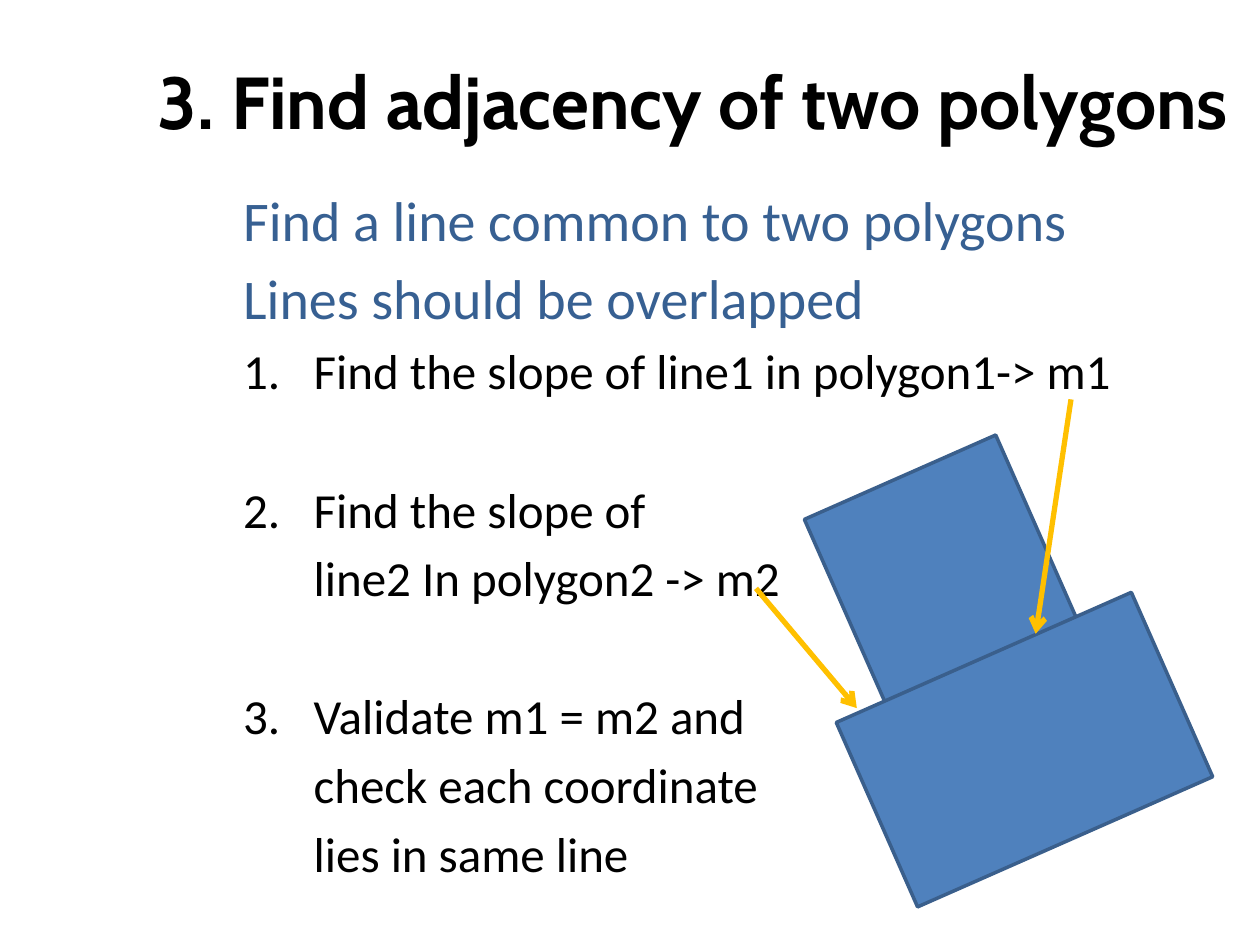
from lxml import etree
from pptx import Presentation
from pptx.dml.color import RGBColor
from pptx.enum.shapes import MSO_CONNECTOR, MSO_SHAPE
from pptx.enum.text import MSO_ANCHOR, MSO_AUTO_SIZE, PP_ALIGN
from pptx.oxml.ns import qn
from pptx.util import Inches, Pt

RECT = MSO_SHAPE.RECTANGLE
STRAIGHT = MSO_CONNECTOR.STRAIGHT
CENTER, LEFT = PP_ALIGN.CENTER, PP_ALIGN.LEFT
MIDDLE, TOP = MSO_ANCHOR.MIDDLE, MSO_ANCHOR.TOP
NO_FIT = MSO_AUTO_SIZE.NONE

COLORS = {"bg": "FFFFFF", "text": "000000", "goal": "376092",
          "polygon": "4F81BD", "edge": "3A5F8C", "arrow": "FFC000"}
GOALS = ["Find a line common to two polygons", "Lines should be overlapped"]
STEPS = [
    ["Find the slope of line1 in polygon1-> m1"],
    ["Find the slope of", "line2 In polygon2 -> m2"],
    ["Validate m1 = m2 and", "check each coordinate", "lies in same line"],
]
STEP_GAP = 45.4  # one blank 28 pt line plus the normal paragraph gap


def rgb(name):
    return RGBColor.from_string(COLORS[name])


def write(p, text, size=28, color="text", font="Calibri", bold=False,
          align=LEFT, before=0):
    p.alignment = align
    p.space_before = Pt(before)
    r = p.add_run()
    r.text = text
    r.font.name, r.font.size, r.font.bold = font, Pt(size), bold
    r.font.color.rgb = rgb(color)


def indent(p, margin, first=0, number=None):
    p.level = 1
    pPr = p._p.get_or_add_pPr()
    pPr.set("marL", str(Inches(margin)))
    pPr.set("indent", str(Inches(first)))
    if number:
        bullet = etree.SubElement(pPr, qn("a:buAutoNum"), type="arabicPeriod")
        bullet.set("startAt", str(number))
    else:
        etree.SubElement(pPr, qn("a:buNone"))


def place(sp, box, anchor):
    sp.left, sp.top, sp.width, sp.height = (Inches(v) for v in box)
    tf = sp.text_frame
    tf.word_wrap, tf.auto_size, tf.vertical_anchor = True, NO_FIT, anchor
    return tf


def add_title(s, box):
    tf = place(s.shapes.title, box, MIDDLE)
    write(tf.paragraphs[0], "3. Find adjacency of two polygons", size=42,
          font="Cabin", bold=True, align=CENTER)


def add_body(s, box):
    tf = place(s.placeholders[1], box, TOP)
    # Goals
    for i, goal in enumerate(GOALS):
        p = tf.add_paragraph() if i else tf.paragraphs[0]
        write(p, goal, size=32, color="goal", before=6.4)
        indent(p, 0.81, -0.31)
    # Numbered steps, with unnumbered continuation lines
    for number, lines in enumerate(STEPS, 1):
        for i, line in enumerate(lines):
            p = tf.add_paragraph()
            write(p, line, before=STEP_GAP if number > 1 and i == 0 else 5.6)
            if i == 0:
                indent(p, 1.06, -0.56, number)
            else:
                indent(p, 1.06)


def add_polygon(shapes, left, top, width, height):
    sp = shapes.add_shape(RECT, Inches(left), Inches(top), Inches(width), Inches(height))
    sp.rotation = 66.2
    sp.shadow.inherit = False
    sp.fill.solid()
    sp.fill.fore_color.rgb = rgb("polygon")
    sp.line.color.rgb = rgb("edge")
    sp.line.width = Pt(2)


def add_arrow(shapes, x1, y1, x2, y2):
    line = shapes.add_connector(STRAIGHT, Inches(x1), Inches(y1), Inches(x2), Inches(y2))
    line.line.color.rgb = rgb("arrow")
    line.line.width = Pt(3)
    etree.SubElement(line.line._get_or_add_ln(), qn("a:tailEnd"), type="arrow")
    etree.SubElement(line._element.spPr, qn("a:effectLst"))


def add_diagram(s, left, top):
    shapes = s.shapes.add_group_shape().shapes
    # Two polygons sharing an edge
    add_polygon(shapes, left + 0.6, top + 0.62, 1.82, 1.66)
    add_polygon(shapes, left + 1.33, top + 1.5, 1.6, 2.56)
    # Arrows from m1 and m2 to the shared edge
    add_arrow(shapes, left + 2.5, top, left + 2.22, top + 1.86)
    add_arrow(shapes, left, top + 1.5, left + 0.8, top + 2.45)


def main():
    prs = Presentation()
    prs.slide_width, prs.slide_height = Inches(10), Inches(7.5)
    s = prs.slides.add_slide(prs.slide_layouts[1])
    s.background.fill.solid()
    s.background.fill.fore_color.rgb = rgb("bg")
    add_title(s, (1, 0.17, 9, 1.25))
    add_body(s, (1.33, 1.42, 8.67, 5.75))
    add_diagram(s, 6, 3.17)
    prs.save("out.pptx")


if __name__ == "__main__":
    main()
